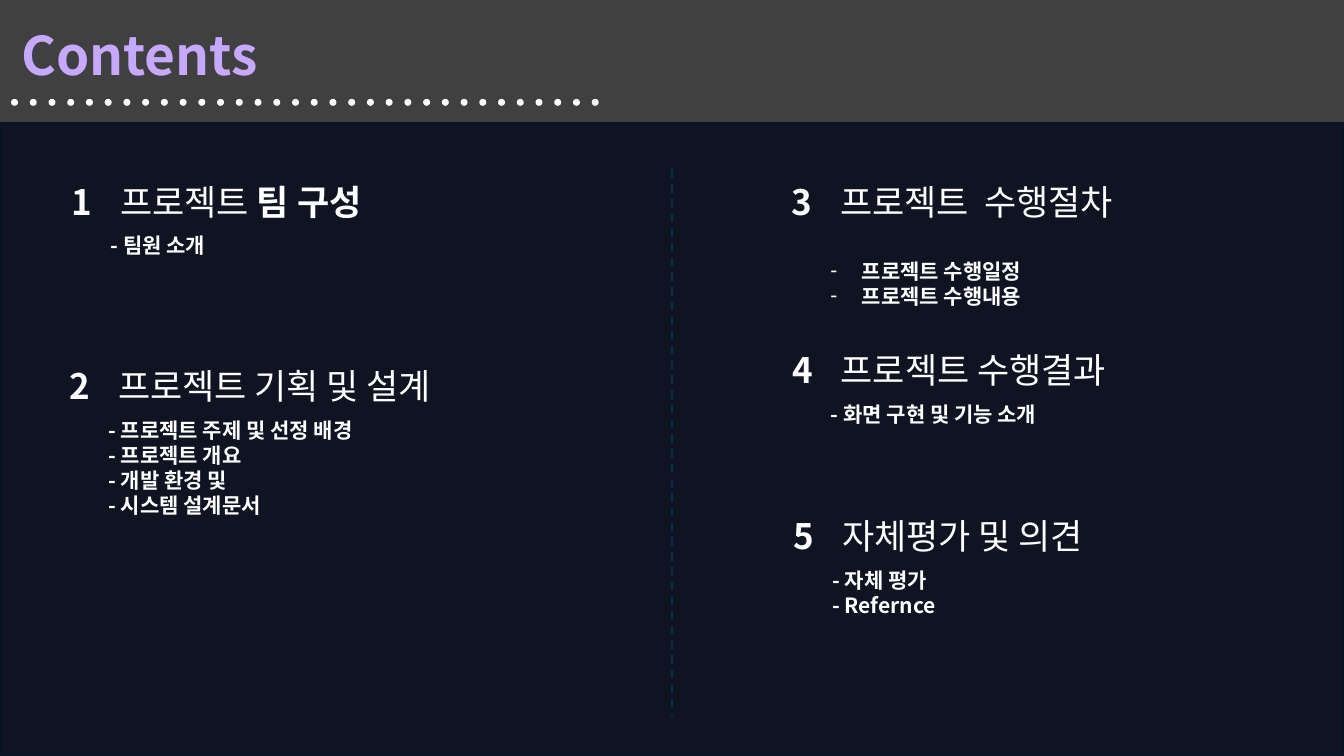
from pptx import Presentation
from pptx import util as u
from pptx.dml.color import RGBColor
from pptx.enum import dml, shapes, text
from pptx.oxml.ns import qn
from lxml import etree

Pt = u.Pt
WHITE = RGBColor(0xFF, 0xFF, 0xFF)
LILAC = RGBColor(0xC6, 0xA8, 0xFE)
GREY = RGBColor(0x40, 0x40, 0x40)
NAVY = RGBColor(0x10, 0x13, 0x22)
NAVY_EDGE = RGBColor(0x00, 0x15, 0x23)
DIVIDER_BLUE = RGBColor(0x00, 0x31, 0x4F)


class ContentsSlide:
    font_name = "Noto Sans CJK KR"
    heading_size, list_size = 25, 15

    def __init__(self, slide):
        self.slide = slide
        self.bodies = [p for p in slide.placeholders
                       if 1 <= p.placeholder_format.idx <= 4]

    def place(self, box, left, top, width, height, wrap=True):
        box.left, box.top = Pt(left), Pt(top)
        box.width, box.height = Pt(width), Pt(height)
        frame = box.text_frame
        frame.word_wrap = wrap
        frame.auto_size = text.MSO_AUTO_SIZE.SHAPE_TO_FIT_TEXT
        frame.vertical_anchor = text.MSO_ANCHOR.TOP
        return frame

    def to_front(self, placeholder):
        placeholder.element.getparent().append(placeholder.element)
        return placeholder

    def run(self, paragraph, words, size, bold, color=WHITE):
        run = paragraph.add_run()
        run.text = words
        font = run.font
        font.size, font.bold, font.name = Pt(size), bold, self.font_name
        font.color.rgb = color
        east_asian = etree.SubElement(run._r.get_or_add_rPr(), qn("a:ea"))
        east_asian.set("typeface", self.font_name)

    def shape(self, kind, left, top, width, height, fill, edge=None):
        shape = self.slide.shapes.add_shape(
            kind, Pt(left), Pt(top), Pt(width), Pt(height))
        shape.shadow.inherit = False
        shape.fill.solid()
        shape.fill.fore_color.rgb = fill
        if edge is None:
            shape.line.fill.background()
        else:
            shape.line.color.rgb = edge
            shape.line.width = Pt(1)

    def divider(self, x, top, bottom):
        line = self.slide.shapes.add_connector(
            shapes.MSO_CONNECTOR.STRAIGHT, Pt(x), Pt(top), Pt(x), Pt(bottom))
        line.line.color.rgb = DIVIDER_BLUE
        line.line.width = Pt(1.5)
        line.line.dash_style = dml.MSO_LINE.DASH
        etree.SubElement(line.element.spPr, qn("a:effectLst"))

    def title(self, words, left, top, width, height):
        title = self.to_front(self.slide.shapes.title)
        frame = self.place(title, left, top, width, height, wrap=False)
        paragraph = frame.paragraphs[0]
        paragraph.alignment = text.PP_ALIGN.LEFT
        self.run(paragraph, words, 38, True, LILAC)

    def textbox(self, left, top, width, height):
        box = self.slide.shapes.add_textbox(0, 0, 0, 0)
        return self.place(box, left, top, width, height)

    def topics(self, items, left, top, height, bulleted):
        if self.bodies:
            body = self.to_front(self.bodies.pop(0))
            frame = self.place(body, left, top, 229, height)
        else:
            frame = self.textbox(left, top, 229, height)
        for i, item in enumerate(items):
            paragraph = frame.paragraphs[0] if i == 0 else frame.add_paragraph()
            paragraph.space_before = Pt(0)
            indent = Pt(22.5) if bulleted else 0
            properties = paragraph._p.get_or_add_pPr()
            properties.set("marL", str(indent))
            properties.set("indent", str(-indent))
            if bulleted:
                etree.SubElement(properties, qn("a:buChar")).set("char", "-")
            else:
                etree.SubElement(properties, qn("a:buNone"))
            self.run(paragraph, item, self.list_size, True)

    def section(self, number, left, top, heading, items,
                list_drop=37.4, list_height=44, bulleted=False):
        paragraph = self.textbox(left, top, 44, 37.4).paragraphs[0]
        paragraph.alignment = text.PP_ALIGN.CENTER
        self.run(paragraph, str(number), self.heading_size, True)
        paragraph = self.textbox(left + 42.2, top, 293, 37.4).paragraphs[0]
        for words, bold in heading:
            self.run(paragraph, words, self.heading_size, bold)
        self.topics(items, left + 35, top + list_drop, list_height, bulleted)


def main():
    deck = Presentation()
    deck.slide_width, deck.slide_height = Pt(960), Pt(540)
    contents = ContentsSlide(deck.slides.add_slide(deck.slide_layouts[4]))

    # Background panel and column divider
    rectangle = shapes.MSO_SHAPE.RECTANGLE
    contents.shape(rectangle, 0, 87.1, 960, 452.9, NAVY, NAVY_EDGE)
    contents.divider(480, 121, 511.2)

    # Header band with dotted rule
    contents.shape(rectangle, 0, -0.7, 960, 87.8, GREY)
    for i in range(32):
        contents.shape(shapes.MSO_SHAPE.OVAL, 7.9 + 13.38 * i, 70.6, 5, 5, WHITE)
    contents.title("Contents", 7.9, 12.2, 205, 53.3)

    # Left column
    contents.section(1, 36.8, 125.3, [("프로젝트", False), (" 팀 구성", True)],
                     ["- 팀원 소개"])
    contents.section(2, 35.2, 257, [("프로젝트 기획 및 설계", False)],
                     ["- 프로젝트 주제 및 선정 배경", "- 프로젝트 개요",
                      "- 개발 환경 및", "- 시스템 설계문서"], list_height=80)

    # Right column
    contents.section(3, 551, 125.3, [("프로젝트  수행절차", False)],
                     ["프로젝트 수행일정", "프로젝트 수행내용"],
                     list_drop=55.4, bulleted=True)
    contents.section(4, 551.3, 245.5, [("프로젝트 수행결과", False)],
                     ["- 화면 구현 및 기능 소개"], list_height=25.2)
    contents.section(5, 552.4, 364.3, [("자체평가 및 의견", False)],
                     ["- 자체 평가", "- Refernce"])

    deck.save("out.pptx")


if __name__ == "__main__":
    main()
